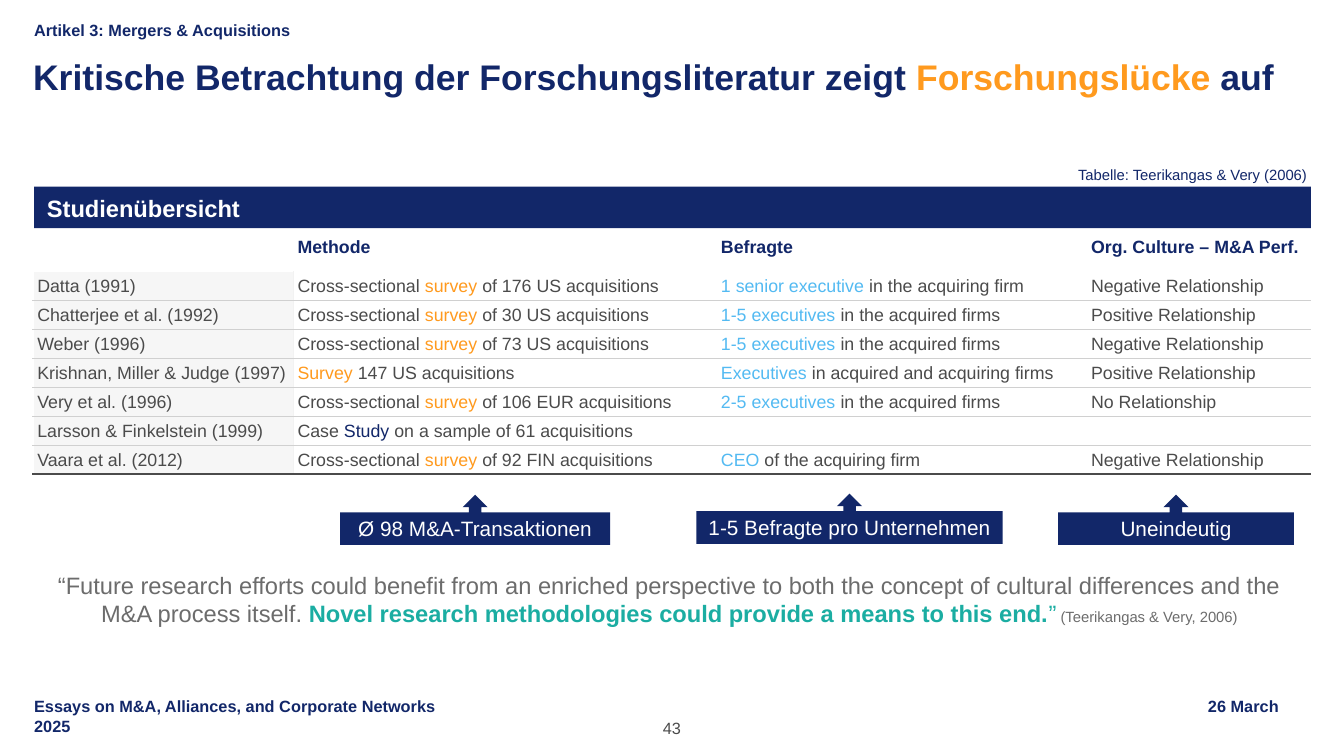
from lxml import etree
from pptx import Presentation
from pptx.dml.color import RGBColor
from pptx.enum.shapes import MSO_SHAPE
from pptx.enum.text import MSO_ANCHOR, MSO_AUTO_SIZE, PP_ALIGN
from pptx.oxml.ns import qn
from pptx.util import Inches, Pt

LEFT, CENTER, RIGHT = PP_ALIGN.LEFT, PP_ALIGN.CENTER, PP_ALIGN.RIGHT
TOP, MIDDLE, BOTTOM = MSO_ANCHOR.TOP, MSO_ANCHOR.MIDDLE, MSO_ANCHOR.BOTTOM
RECTANGLE, CALLOUT = MSO_SHAPE.RECTANGLE, MSO_SHAPE.UP_ARROW_CALLOUT

NAVY = RGBColor(0x12, 0x27, 0x69)
ORANGE = RGBColor(0xFF, 0x9A, 0x1E)
BLUE = RGBColor(0x53, 0xBA, 0xF2)
TEAL = RGBColor(0x1B, 0xAD, 0xA2)
DARK = RGBColor(0x4B, 0x4B, 0x4B)
GREY = RGBColor(0x6C, 0x6C, 0x6C)
RULE = RGBColor(0xD0, 0xD0, 0xD0)
PALE = RGBColor(0xF6, 0xF6, 0xF6)
EDGE = RGBColor(0xF2, 0xF2, 0xF2)
WHITE = RGBColor(0xFF, 0xFF, 0xFF)

FONT = "Arial"
CHAPTER = "Artikel 3: Mergers & Acquisitions"
TITLE = ["Kritische Betrachtung der Forschungsliteratur zeigt ",
         ("Forschungslücke", {"color": ORANGE}), " auf"]
SOURCE = "Tabelle: Teerikangas & Very (2006)"
BANNER = "Studienübersicht"
FOOTER = "Essays on M&A, Alliances, and Corporate Networks\t26 March\v2025"
PAGE_NUMBER = "43"
QUOTE = [
    "“Future research efforts could benefit from an enriched perspective to both the concept "
    "of cultural differences and the M&A process itself. ",
    ("Novel research methodologies could provide a means to this end.",
     {"color": TEAL, "bold": True}),
    ("”", {"color": TEAL}),
    (" (Teerikangas & Very, 2006)", {"size": 10}),
]

SURVEY = ("survey", {"color": ORANGE})
STUDY = ("Study", {"color": NAVY})


def respondents(who, where):
    return [(who, {"color": BLUE}), where]


HEADINGS = ["", "Methode", "Befragte", "Org. Culture – M&A Perf."]
STUDIES = [
    ("Datta (1991)", ["Cross-sectional ", SURVEY, " of 176 US acquisitions"],
     respondents("1 senior executive ", "in the acquiring firm"), "Negative Relationship"),
    ("Chatterjee et al. (1992)", ["Cross-sectional ", SURVEY, " of 30 US acquisitions"],
     respondents("1-5 executives ", "in the acquired firms"), "Positive Relationship"),
    ("Weber (1996)", ["Cross-sectional ", SURVEY, " of 73 US acquisitions"],
     respondents("1-5 executives ", "in the acquired firms"), "Negative Relationship"),
    ("Krishnan, Miller & Judge (1997)",
     [("Survey", {"color": ORANGE}), " 147 US acquisitions"],
     respondents("Executives", " in acquired and acquiring firms"), "Positive Relationship"),
    ("Very et al. (1996)", ["Cross-sectional ", SURVEY, " of 106 EUR acquisitions"],
     respondents("2-5 executives ", "in the acquired firms"), "No Relationship"),
    ("Larsson & Finkelstein (1999)", ["Case ", STUDY, " on a sample of 61 acquisitions"],
     "", ""),
    ("Vaara et al. (2012)", ["Cross-sectional ", SURVEY, " of 92 FIN acquisitions"],
     respondents("CEO", " of the acquiring firm"), "Negative Relationship"),
]
COLUMN_WIDTHS = [2.44, 3.97, 3.47, 2.1]
BANNER_ROW, HEADING_ROW, TABLE_HEIGHT = 0.3, 0.44, 2.64

# text, left, top, width
FINDINGS = [
    ("Ø 98 M&A-Transaktionen", 3.19, 4.64, 2.53),
    ("1-5 Befragte pro Unternehmen", 6.53, 4.63, 2.87),
    ("Uneindeutig", 9.92, 4.64, 2.21),
]
MARGIN, CONTENT_WIDTH = 0.32, 11.97


def write(frame, content, size=12, color=DARK, bold=False, align=LEFT, anchor=MIDDLE,
          spacing=1.0, right_tab=None):
    """Fill a text frame; content is a string or a list of strings and (text, format) pairs."""
    frame.word_wrap = True
    frame.vertical_anchor = anchor
    para = frame.paragraphs[0]
    para.alignment = align
    para.line_spacing = spacing
    if right_tab:
        tabs = etree.SubElement(para._p.get_or_add_pPr(), qn("a:tabLst"))
        etree.SubElement(tabs, qn("a:tab"), pos=str(Inches(right_tab)), algn="r")
    for part in [content] if isinstance(content, str) else content:
        text, own = (part, {}) if isinstance(part, str) else part
        for number, line in enumerate(text.split("\v")):
            if number:
                para.add_line_break()
            span = para.add_run()
            span.text = line
            span.font.name = FONT
            span.font.size = Pt(own.get("size", size))
            span.font.bold = own.get("bold", bold)
            span.font.color.rgb = own.get("color", color)


def set_insets(frame, left, top, right, bottom):
    frame.margin_left, frame.margin_top = Inches(left), Inches(top)
    frame.margin_right, frame.margin_bottom = Inches(right), Inches(bottom)


def add_text(page, content, left, top, width, height, insets=(0, 0, 0, 0), **style):
    box = page.shapes.add_textbox(Inches(left), Inches(top), Inches(width), Inches(height))
    set_insets(box.text_frame, *insets)
    write(box.text_frame, content, **style)


def add_block(page, kind, text, left, top, width, height, insets, **style):
    block = page.shapes.add_shape(kind, Inches(left), Inches(top), Inches(width), Inches(height))
    block.shadow.inherit = False
    block.fill.solid()
    block.fill.fore_color.rgb = NAVY
    block.line.fill.background()
    set_insets(block.text_frame, *insets)
    write(block.text_frame, text, color=WHITE, **style)


def set_border(cell, side, color, width):
    line = etree.SubElement(cell._tc.get_or_add_tcPr(), qn("a:ln" + side), w=str(Pt(width)))
    fill = etree.SubElement(line, qn("a:solidFill"))
    etree.SubElement(fill, qn("a:srgbClr"), val=str(color))


def fill_cell(cell, content, fill=WHITE, borders=(), **style):
    cell.margin_left = cell.margin_right = Inches(0.04)
    cell.margin_top = cell.margin_bottom = Inches(0.03)
    cell.vertical_anchor = MIDDLE
    for side, color, width in borders:
        set_border(cell, side, color, width)
    cell.fill.solid()
    cell.fill.fore_color.rgb = fill
    if content:
        write(cell.text_frame, content, **style)
    else:
        etree.SubElement(cell.text_frame.paragraphs[0]._p, qn("a:endParaRPr"), sz="1000")


def add_studies(page):
    rows, columns = len(STUDIES) + 2, len(HEADINGS)
    table = page.shapes.add_table(rows, columns, Inches(0.31), Inches(1.81),
                                  Inches(CONTENT_WIDTH), Inches(TABLE_HEIGHT)).table
    table.first_row = table.horz_banding = False
    for column, width in zip(table.columns, COLUMN_WIDTHS):
        column.width = Inches(width)
    study_row = (TABLE_HEIGHT - BANNER_ROW - HEADING_ROW) / len(STUDIES)
    heights = [BANNER_ROW, HEADING_ROW] + [study_row] * len(STUDIES)
    for row, height in zip(table.rows, heights):
        row.height = Inches(height)

    for index, heading in enumerate(HEADINGS):
        fill_cell(table.cell(0, index), "")
        fill_cell(table.cell(1, index), heading, color=NAVY, bold=True, spacing=0.9)
    table.cell(0, 0).merge(table.cell(0, columns - 1))

    for number, study in enumerate(STUDIES):
        above = [("T", RULE, 0.5)] if number else []
        last = number == len(STUDIES) - 1
        below = [("B", DARK, 1.5) if last else ("B", RULE, 0.5)]
        for index, content in enumerate(study):
            before = [("L", EDGE if index == 1 else WHITE, 0.5)] if index else []
            after = [("R", WHITE if index else EDGE, 0.5)] if index < columns - 1 else []
            fill_cell(table.cell(number + 2, index), content, fill=WHITE if index else PALE,
                      borders=before + after + above + below, spacing=1.04)


def main():
    deck = Presentation()
    deck.slide_width, deck.slide_height = Inches(12.6), Inches(7.09)
    page = deck.slides.add_slide(deck.slide_layouts[5])

    title = page.shapes.title
    title.left, title.top = Inches(0.31), Inches(0.56)
    title.width, title.height = Inches(CONTENT_WIDTH), Inches(0.73)
    title.text_frame.auto_size = MSO_AUTO_SIZE.NONE
    set_insets(title.text_frame, 0, 0, 0, 0)
    write(title.text_frame, TITLE, size=24, color=NAVY, bold=True, anchor=TOP, spacing=0.9)

    strip = {"size": 11, "color": NAVY, "bold": True, "anchor": BOTTOM, "spacing": 1.04}
    add_text(page, CHAPTER, MARGIN, 0, CONTENT_WIDTH, 0.37, **strip)
    add_text(page, FOOTER, MARGIN, 6.53, CONTENT_WIDTH, 0.37, right_tab=11.67, **strip)
    add_text(page, PAGE_NUMBER, 5.85, 6.73, 0.9, 0.19, size=11, align=CENTER, anchor=BOTTOM)

    add_studies(page)
    add_block(page, RECTANGLE, BANNER, MARGIN, 1.75, CONTENT_WIDTH, 0.39,
              (0.12, 0.08, 0.08, 0.08), size=16, bold=True, spacing=1.04)
    add_text(page, SOURCE, 8.4, 1.52, 3.85, 0.26, size=10, color=NAVY, align=RIGHT, spacing=0.9)
    for text, left, top, width in FINDINGS:
        add_block(page, CALLOUT, text, left, top, width, 0.47, (0.1, 0.05, 0.1, 0.05),
                  size=14, align=CENTER)
    add_text(page, QUOTE, 0.42, 5.3, 11.71, 0.64, (0.1, 0.05, 0.1, 0.05),
             size=16, color=GREY, align=CENTER, anchor=TOP)
    deck.save("out.pptx")


if __name__ == "__main__":
    main()
